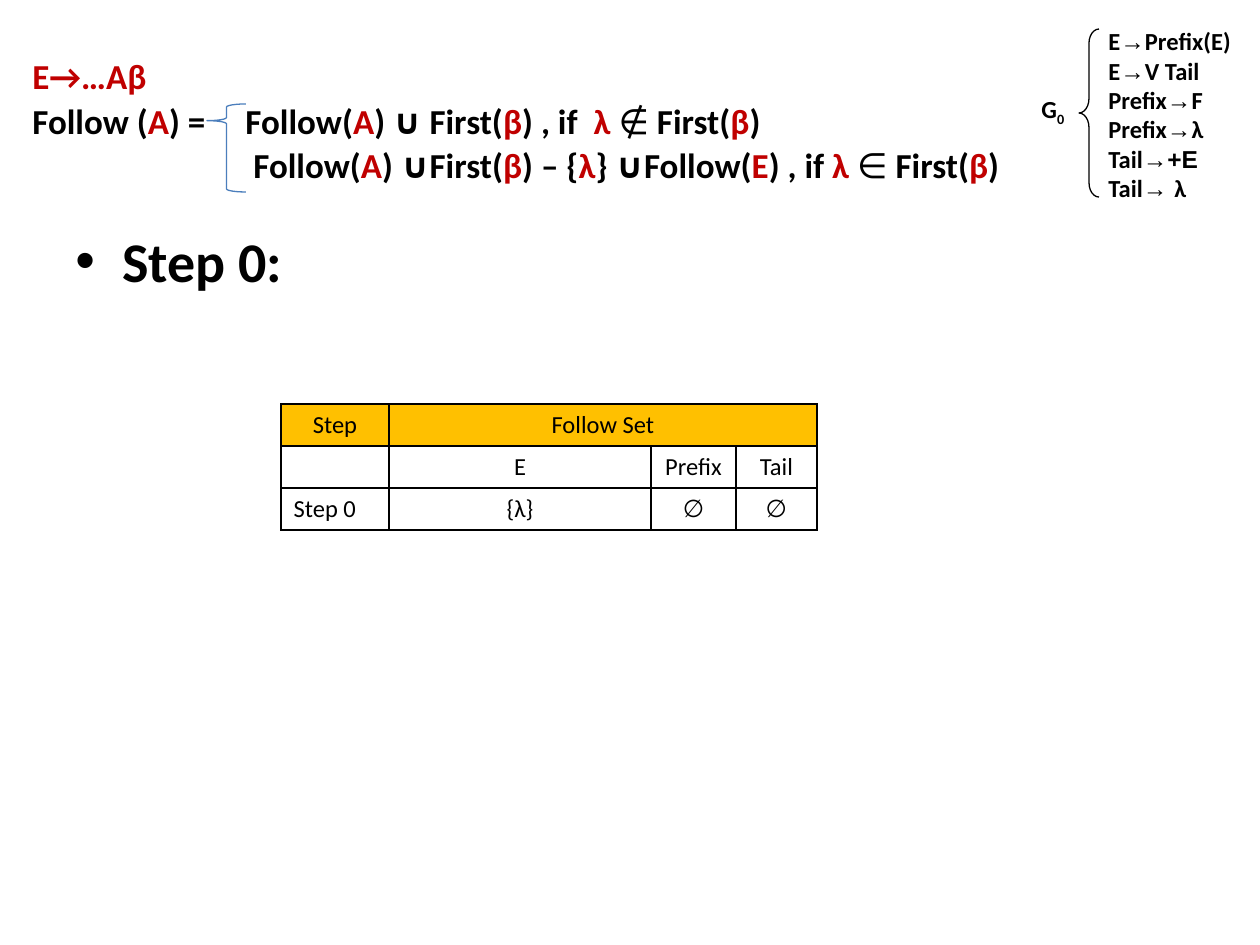
from lxml.etree import SubElement
from pptx import Presentation
from pptx.dml.color import RGBColor
from pptx.enum.shapes import MSO_SHAPE as Shape
from pptx.enum.text import MSO_ANCHOR as Anchor, PP_ALIGN as Align
from pptx.oxml.ns import qn
from pptx.util import Pt

PX = 914400 / 126
BLACK, RED, BLUE, GOLD, WHITE = "000000", "C00000", "4B7EBC", "FFC000", "FFFFFF"

# Content: formula runs are (text, style), with k black, r red, n not bold,
# g a space widened to make room for the brace
FORMULA = [
    [("E→…Aβ", "r")],
    [("Follow (", "k"), ("A", "r"), (") =", "k"), (" ", "g"),
     ("Follow(", "k"), ("A", "r"),
     (") ∪ First(", "k"), ("β", "r"), (") , if  ", "k"), ("λ ", "r"),
     ("∉ ", "n"), ("First(", "k"), ("β", "r"), (")", "k")],
    [("Follow(", "k"), ("A", "r"), (") ∪First(", "k"), ("β", "r"),
     (") – {", "k"), ("λ", "r"), ("} ∪Follow(", "k"), ("E", "r"),
     (") , if ", "k"), ("λ ", "r"), ("∈ ", "n"), ("First(", "k"),
     ("β", "r"), (")", "k")],
]
LINE_INDENTS = [0, 0, 221]
BRACE_GAP = Pt(18.3)
# Grammar rules: left side, Arial part, right side
RULES = [("E", "→", "Prefix(E)"), ("E", "→", "V Tail"), ("Prefix", "→", "F"),
         ("Prefix", "→", "λ"), ("Tail", "→+Ε", ""), ("Tail", "→ ", "λ")]
TABLE = [["Step", "Follow Set", "", ""],
         ["", "E", "Prefix", "Tail"],
         ["Step 0", "{λ}", "∅", "∅"]]
COLUMN_WIDTHS = [108, 262, 85, 81]
ROW_HEIGHT = 42


def px(value):
    return round(value * PX)


def color(hex_code):
    return RGBColor.from_string(hex_code)


def add_run(para, text, size, hex_code=BLACK, bold=True, font="Calibri"):
    span = para.add_run()
    span.text = text
    span.font.size, span.font.bold, span.font.name = Pt(size), bold, font
    span.font.color.rgb = color(hex_code)
    return span


def add_box(shapes, *place):
    box = shapes.add_textbox(*map(px, place))
    box.text_frame.word_wrap = True
    return box.text_frame


def next_para(frame, index):
    return frame.add_paragraph() if index else frame.paragraphs[0]


def set_indent(para, left, first):
    layout = para._p.get_or_add_pPr()
    layout.set("marL", str(px(left)))
    layout.set("indent", str(px(first)))
    return layout


def add_brace(shapes, place, adjustments, hex_code):
    brace = shapes.add_shape(Shape.LEFT_BRACE, *map(px, place))
    brace.shadow.inherit = False
    brace.fill.background()
    brace.line.color.rgb = color(hex_code)
    brace.line.width = Pt(0.75)
    for index, value in enumerate(adjustments):
        brace.adjustments[index] = value


def set_borders(cell):
    properties = cell._tc.get_or_add_tcPr()
    for index, side in enumerate(("lnL", "lnR", "lnT", "lnB")):
        line = properties.makeelement(qn(f"a:{side}"), {"w": str(Pt(1))})
        fill = SubElement(line, qn("a:solidFill"))
        SubElement(fill, qn("a:srgbClr"), val=BLACK)
        properties.insert(index, line)


deck = Presentation()
deck.slide_width, deck.slide_height = px(1260), px(945)
page = deck.slides.add_slide(deck.slide_layouts[6])

# Follow formula
frame = add_box(page.shapes, 20, 53, 1014, 154)
for index, (parts, indent) in enumerate(zip(FORMULA, LINE_INDENTS)):
    para = next_para(frame, index)
    para.line_spacing = 0.9
    if index:
        para.space_before = Pt(4)
    set_indent(para, indent, 0)
    for text, style in parts:
        span = add_run(para, text, 20, RED if style == "r" else BLACK, style != "n")
        if style == "g":
            span.font._element.set("spc", str(round(BRACE_GAP.pt * 100)))

# Step heading
para = add_box(page.shapes, 63, 220, 1134, 624).paragraphs[0]
layout = set_indent(para, 47, -47)
SubElement(layout, qn("a:buFont"), typeface="Arial")
SubElement(layout, qn("a:buChar"), char="•")
add_run(para, "Step 0:", 32)

# Grammar G0
grammar = page.shapes.add_group_shape().shapes
frame = add_box(grammar, 1096, 20, 164, 190)
for index, (left, arrow, right) in enumerate(RULES):
    para = next_para(frame, index)
    add_run(para, left, 14)
    add_run(para, arrow, 14, font="Arial")
    if right:
        add_run(para, right, 14)
add_brace(grammar, (1079, 29, 20, 168), (0.72, 0.5), BLACK)
para = add_box(grammar, 1029, 88, 53, 43).paragraphs[0]
add_run(para, "G", 14)
subscript = add_run(para, "0", 14)
subscript.font._element.set("baseline", "-25000")

# Brace of the formula
add_brace(page.shapes, (207, 104, 39, 88), (0.08, 0.19), BLUE)

# Follow set table
table = page.shapes.add_table(
    len(TABLE), len(COLUMN_WIDTHS), px(281), px(404),
    px(sum(COLUMN_WIDTHS)), px(ROW_HEIGHT * len(TABLE))).table
for column, width in zip(table.columns, COLUMN_WIDTHS):
    column.width = px(width)
for r, texts in enumerate(TABLE):
    table.rows[r].height = px(ROW_HEIGHT)
    for c, text in enumerate(texts):
        cell = table.cell(r, c)
        cell.margin_top = cell.margin_bottom = 0
        cell.vertical_anchor = Anchor.MIDDLE
        cell.fill.solid()
        cell.fill.fore_color.rgb = color(WHITE if r else GOLD)
        set_borders(cell)
        para = cell.text_frame.paragraphs[0]
        para.alignment = Align.LEFT if text == "Step 0" else Align.CENTER
        if text:
            add_run(para, text, 14, bold=False)
table.cell(0, 1).merge(table.cell(0, 3))

deck.save("out.pptx")
